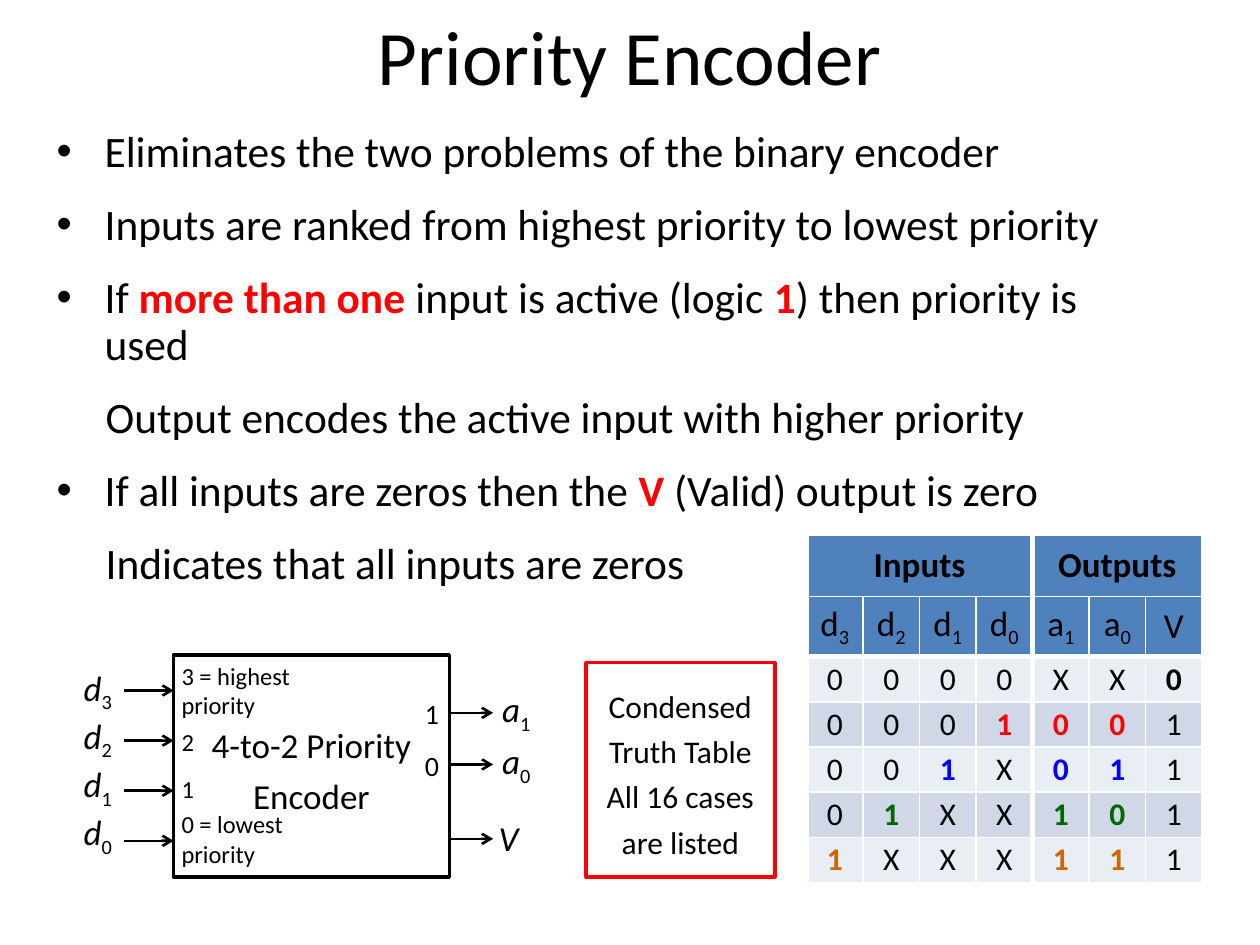
"""Build the Priority Encoder slide with its block diagram and truth table."""
from lxml import etree
from pptx import Presentation, util as u
from pptx.dml.color import RGBColor
from pptx.enum import shapes, text
from pptx.oxml.ns import qn

COLORS = {"black": "000000", "white": "FFFFFF", "red": "FF0000", "blue": "0000FF",
          "green": "006600", "orange": "CC6600", "head": "4F81BD",
          "odd": "E9EDF4", "even": "D0D8E8"}
FONT = "Calibri"
TITLE = "Priority Encoder"
BODY = [
    (True, ["Eliminates the two problems of the binary encoder"]),
    (True, ["Inputs are ranked from highest priority to lowest priority"]),
    (True, ["If ", ("more than one ", "red"), "input is active (logic ", ("1", "red"),
            ") then priority is used"]),
    (False, ["Output encodes the active input with higher priority"]),
    (True, ["If all inputs are zeros then the ", ("V", "red"), " (Valid) output is zero"]),
    (False, ["Indicates that all inputs are zeros"]),
]
GROUPS = [("Inputs", 0, 3), ("Outputs", 4, 6)]
SIGNALS = ["d_3", "d_2", "d_1", "d_0", "a_1", "a_0", "V"]
TRUTH = [("0000XX0", [6], "black"), ("0001001", [3, 4, 5], "red"),
         ("001X011", [2, 4, 5], "blue"), ("01XX101", [1, 4, 5], "green"),
         ("1XXX111", [0, 4, 5], "orange")]
NOTE = ["Condensed", "Truth Table", "All 16 cases", "are listed"]
BLOCK = ["4-to-2 Priority", "Encoder"]
IN_PORTS = [("3 = highest priority", 13.41, 3.1), ("2", 14.45, 0.41),
            ("1", 15.39, 0.41), ("0 = lowest priority", 16.41, 3.1)]
OUT_PORTS = [("1", 14.0), ("0", 15.04)]
OUTPUTS = [("a_1", 14.37, 0.9), ("a_0", 15.41, 0.9), ("V", 16.91, 0.59)]
CENTER, LEFT = text.PP_ALIGN.CENTER, text.PP_ALIGN.LEFT
MIDDLE = text.MSO_ANCHOR.MIDDLE


def rgb(name):
    return RGBColor.from_string(COLORS[name])


def add_run(p, content, size, color="black", bold=False, italic=False):
    r = p.add_run()
    r.text = content
    f = r.font
    f.name, f.size, f.bold, f.italic = FONT, u.Pt(size), bold, italic
    f.color.rgb = rgb(color)
    return r


def add_signal(p, name, size, **style):
    base, _, index = name.partition("_")
    add_run(p, base, size, **style)
    if index:
        sub = add_run(p, index, size, bold=style.get("bold", False))
        sub.font._element.set("baseline", "-25000")


def fill_frame(tf, lines, size, align=CENTER, spacing=None, wrap=False, italic=False):
    tf.margin_left = tf.margin_right = tf.margin_top = tf.margin_bottom = 0
    tf.vertical_anchor, tf.word_wrap = MIDDLE, wrap
    for i, line in enumerate(lines):
        p = tf.paragraphs[0] if i == 0 else tf.add_paragraph()
        p.alignment = align
        if spacing:
            p.line_spacing = spacing
        add_signal(p, line, size, italic=italic)


def add_label(s, content, x, y, w, h, size, **style):
    tb = s.shapes.add_textbox(u.Cm(x), u.Cm(y), u.Cm(w), u.Cm(h))
    fill_frame(tb.text_frame, [content], size, **style)


def add_box(s, lines, x, y, w, h, size, color, wrap):
    sp = s.shapes.add_shape(shapes.MSO_SHAPE.RECTANGLE, u.Cm(x), u.Cm(y), u.Cm(w), u.Cm(h))
    sp.shadow.inherit = False
    sp.fill.background()
    sp.line.color.rgb, sp.line.width = rgb(color), u.Pt(2)
    fill_frame(sp.text_frame, lines, size, spacing=1.2, wrap=wrap)


def add_arrow(s, x1, x2, y):
    cx = s.shapes.add_connector(shapes.MSO_CONNECTOR.STRAIGHT,
                                u.Cm(x1), u.Cm(y), u.Cm(x2), u.Cm(y))
    cx.line.color.rgb, cx.line.width = rgb("black"), u.Pt(1.5)
    etree.SubElement(cx.line._get_or_add_ln(), qn("a:tailEnd"), type="arrow")
    etree.SubElement(cx._element.spPr, qn("a:effectLst"))


def add_body(s):
    tf = s.shapes.add_textbox(u.Cm(0.89), u.Cm(2.49), u.Cm(22.86), u.Cm(9.6)).text_frame
    tf.word_wrap = True
    for i, (bullet, runs) in enumerate(BODY):
        p = tf.paragraphs[0] if i == 0 else tf.add_paragraph()
        p.line_spacing, p.space_before = 0.9, u.Pt(15 if i else 0)
        pr = p._p.get_or_add_pPr()
        pr.set("marL", str(u.Cm(0.97 if bullet else 0.99)))
        pr.set("indent", str(-u.Cm(0.97) if bullet else 0))
        if bullet:
            etree.SubElement(pr, qn("a:buFont"), typeface="Arial")
            etree.SubElement(pr, qn("a:buChar"), char="•")
        for run in runs:
            if isinstance(run, tuple):
                add_run(p, run[0], 24.8, run[1], bold=True)
            else:
                add_run(p, run, 24.8)


def style_cell(cell, row, col, fill, margin):
    cell.fill.solid()
    cell.fill.fore_color.rgb = rgb(fill)
    cell.vertical_anchor = MIDDLE
    cell.margin_top = cell.margin_bottom = 0
    cell.margin_left = cell.margin_right = u.Cm(margin)
    last = 3 if row == 0 and col == 0 else col
    thick = {"L": col in (0, 4), "R": last == 3, "T": row == 2, "B": row == 1}
    for i, (side, heavy) in enumerate(thick.items()):
        ln = etree.Element(qn("a:ln" + side), w=str(u.Pt(3 if heavy else 1)))
        solid = etree.SubElement(ln, qn("a:solidFill"))
        etree.SubElement(solid, qn("a:srgbClr"), val=COLORS["white"])
        cell._tc.get_or_add_tcPr().insert(i, ln)


def add_cell(cell, row, col, content, size, fill, margin=0, **style):
    style_cell(cell, row, col, fill, margin)
    p = cell.text_frame.paragraphs[0]
    p.alignment = CENTER
    add_signal(p, content, size, **style)


def add_truth_table(s):
    t = s.shapes.add_table(2 + len(TRUTH), len(SIGNALS), u.Cm(16.26), u.Cm(10.8),
                           u.Cm(7.98), u.Cm(6.99)).table
    t.first_row = t.horz_banding = False
    for col in t.columns:
        col.width = u.Cm(1.14)
    for i, row in enumerate(t.rows):
        row.height = u.Cm(1.22 if i < 2 else 0.91)
    for name, first, last in GROUPS:
        t.cell(0, first).merge(t.cell(0, last))
        add_cell(t.cell(0, first), 0, first, name, 20, "head", bold=True)
    for c, name in enumerate(SIGNALS):
        add_cell(t.cell(1, c), 1, c, name, 20, "head")
    for r, (values, marked, color) in enumerate(TRUTH, 2):
        for c, value in enumerate(values):
            add_cell(t.cell(r, c), r, c, value, 18, "even" if r % 2 else "odd", 0.23,
                     color=color if c in marked else "black", bold=c in marked)


def add_encoder(s):
    add_box(s, BLOCK, 3.5, 13.2, 5.56, 4.48, 20, "black", True)
    for name, y, w in OUTPUTS:
        add_arrow(s, 9.06, 9.94, y)
        add_label(s, name, 9.96, y - 0.52, w, 1, 20, italic=True)
    for i, name in enumerate(SIGNALS[:4]):
        add_arrow(s, 2.51, 3.5, 13.92 + 1.01 * i)
        add_label(s, name, 1.52, 13.41 + 0.97 * i, 0.9, 1, 20, italic=True)
    for name, y, w in IN_PORTS:
        add_label(s, name, 3.66, y, w, 1, 14, align=LEFT)
    for name, y in OUT_PORTS:
        add_label(s, name, 8.48, y, 0.46, 0.76, 16)


def main():
    prs = Presentation()
    prs.slide_width, prs.slide_height = u.Cm(25.4), u.Cm(19.05)
    s = prs.slides.add_slide(prs.slide_layouts[6])
    add_label(s, TITLE, 0, 0, 25.4, 2.2, 44, wrap=True)
    add_body(s)
    add_truth_table(s)
    add_box(s, NOTE, 11.81, 13.36, 3.81, 4.32, 18, "red", False)
    add_encoder(s)
    prs.save("out.pptx")


if __name__ == "__main__":
    main()
